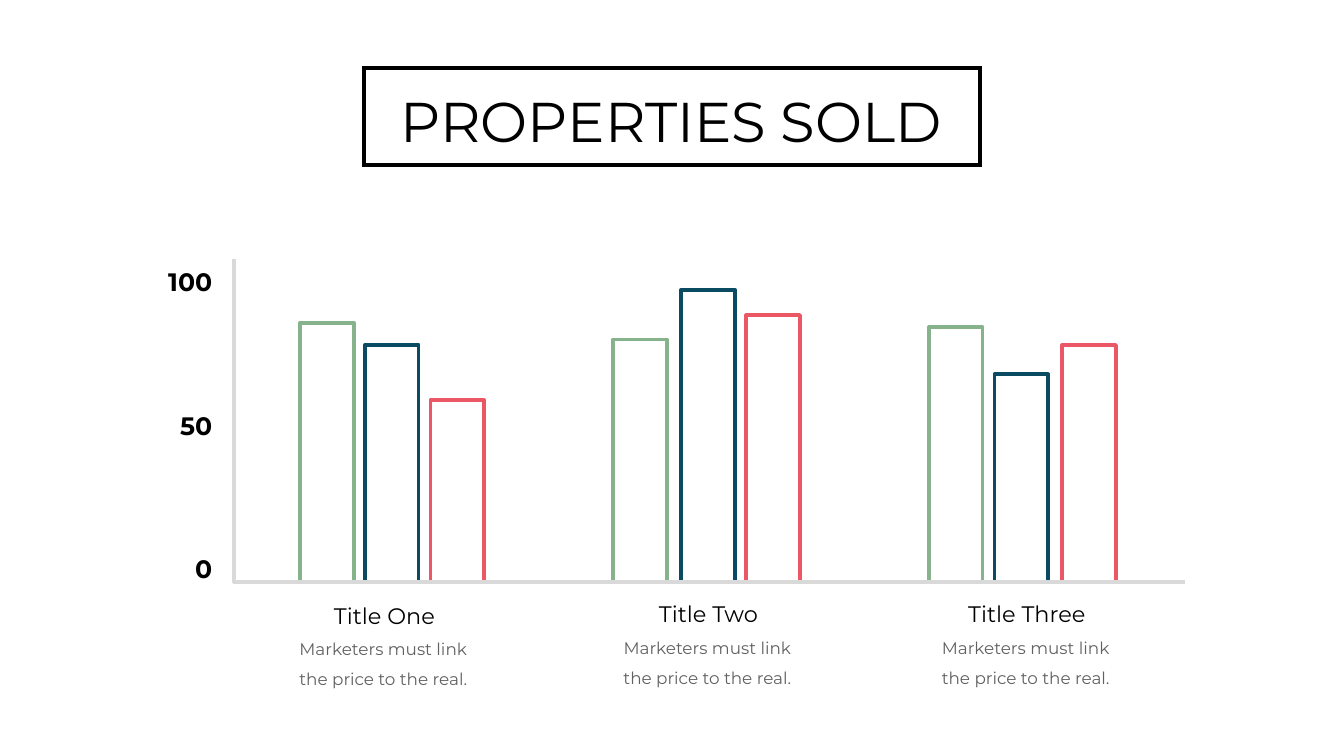
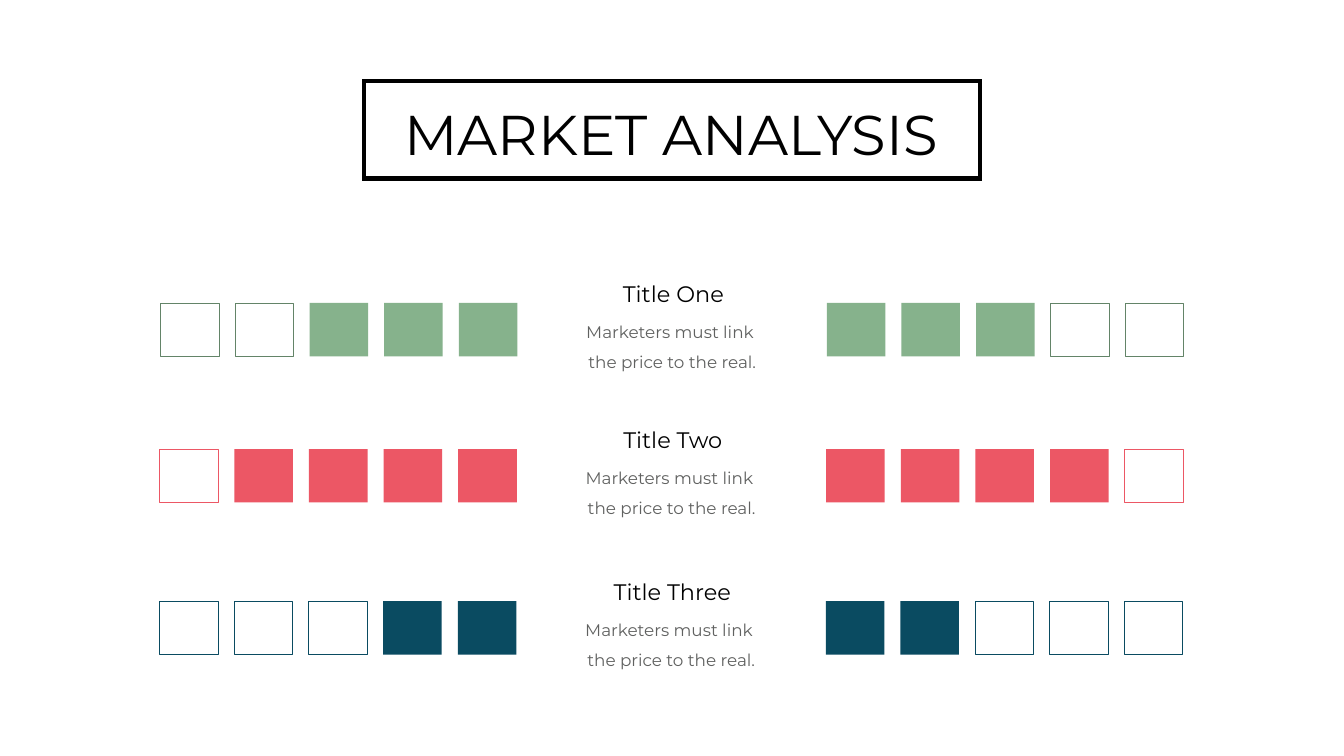
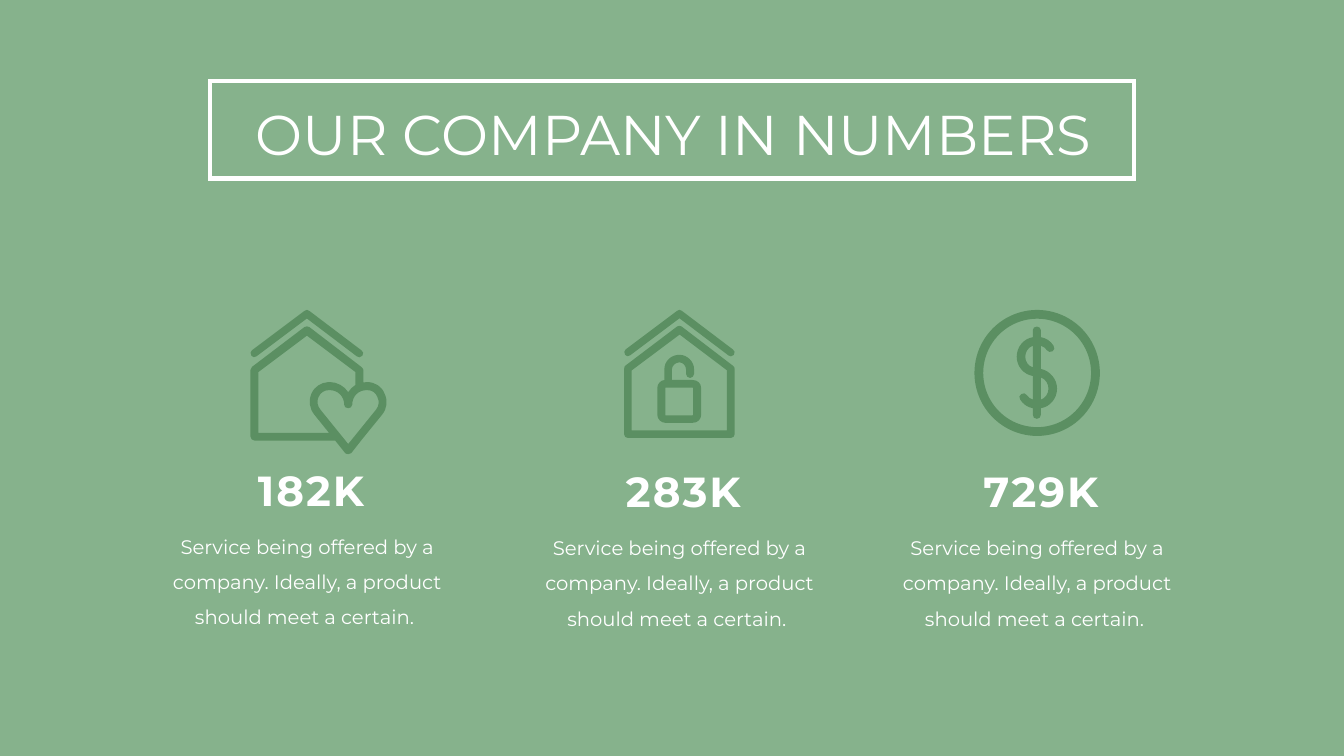
from lxml import etree
from pptx import Presentation
from pptx.dml.color import RGBColor
from pptx.enum.shapes import MSO_CONNECTOR, MSO_SHAPE
from pptx.enum.text import MSO_AUTO_SIZE, PP_ALIGN
from pptx.oxml.ns import qn
from pptx.util import Cm, Pt

RECTANGLE, DONUT = MSO_SHAPE.RECTANGLE, MSO_SHAPE.DONUT
STRAIGHT = MSO_CONNECTOR.STRAIGHT
FIT_SHAPE = MSO_AUTO_SIZE.SHAPE_TO_FIT_TEXT
CENTER, RIGHT = PP_ALIGN.CENTER, PP_ALIGN.RIGHT

FONT = "Montserrat"
BLACK = RGBColor(0x00, 0x00, 0x00)
WHITE = RGBColor(0xFF, 0xFF, 0xFF)
GRAY = RGBColor(0x60, 0x61, 0x60)
AXIS_GRAY = RGBColor(0xD9, 0xD9, 0xD9)
GREEN = RGBColor(0x86, 0xB2, 0x8C)
MOSS = RGBColor(0x63, 0x84, 0x68)
ICON_GREEN = RGBColor(0x5B, 0x8F, 0x62)
NAVY = RGBColor(0x0A, 0x4B, 0x61)
CORAL = RGBColor(0xEC, 0x57, 0x65)

# All positions are in centimetres.
PAGE_WIDTH, PAGE_HEIGHT = 67.72, 38.1
BASELINE = 29.31
BAR_WIDTH = 2.7
SQUARE_WIDTH, SQUARE_HEIGHT, SQUARE_STEP = 2.95, 2.69, 3.76
SQUARES_PER_SIDE = 5

# Icon outlines: M starts a closed contour, L is a line, C a Bézier curve.
ICON_UNIT = 0.0254
ROOF = (
    "M 12 92 L 112 17 L 211 92 C 213 93 214 94 216 94 C 218 94 220 93 222 91 "
    "C 225 87 224 82 220 80 L 117 2 C 114 -1 110 -1 107 2 L 3 80 "
    "C 0 82 -1 87 2 91 C 4 94 9 95 12 92"
)
HOUSE_WITH_HEART = (
    "M 139 165 C 133 158 131 148 135 140 C 139 131 146 126 156 126 "
    "C 156 126 157 126 157 126 "
    "C 173 126 186 138 186 155 C 186 159 189 162 194 162 "
    "C 198 162 202 159 202 155 C 202 138 214 126 231 126 "
    "C 231 126 232 126 232 126 "
    "C 241 126 249 131 252 140 C 256 148 255 158 249 165 L 194 233 "
    "M 16 90 L 112 18 L 208 90 L 208 116 C 203 120 197 124 194 130 "
    "C 186 118 172 110 157 110 C 156 110 156 110 155 110 "
    "C 140 111 127 119 121 133 "
    "C 115 147 117 163 127 175 L 156 211 L 16 211 "
    "M 261 175 C 271 163 273 147 266 133 C 261 119 248 111 233 110 "
    "C 232 110 232 110 231 110 "
    "C 228 110 226 110 224 111 L 224 86 C 224 84 222 82 220 80 L 117 1 "
    "C 114 -1 110 -1 107 1 L 3 80 C 2 82 0 84 0 86 L 0 218 "
    "C 0 223 4 226 8 226 L 168 226 L 188 251 C 189 252 192 253 194 253 "
    "C 196 253 198 252 200 251 L 222 223"
)
HOUSE = (
    "M 204 207 L 15 207 L 15 88 L 110 17 L 204 88 "
    "M 216 79 L 114 1 C 111 -1 108 -1 105 1 L 2 79 C 1 80 0 82 0 85 L 0 215 "
    "C 0 219 3 222 7 222 L 212 222 C 216 222 219 219 219 215 L 219 85 "
    "C 219 82 218 80 216 79"
)
OPEN_LOCK = (
    "M 71 66 L 71 119 C 71 119 71 120 70 120 L 16 120 C 16 120 16 119 16 119 "
    "L 16 66 C 16 65 16 65 16 65 L 70 65 C 71 65 71 65 71 66 "
    "M 14 29 L 14 50 C 6 51 0 58 0 66 L 0 119 C 0 128 8 135 16 135 L 70 135 "
    "C 80 135 87 128 87 119 L 87 66 C 87 57 80 50 70 50 L 29 50 L 29 29 "
    "C 29 22 36 15 44 15 C 51 15 57 22 57 29 L 57 38 C 57 42 61 46 65 46 "
    "C 69 46 73 42 73 38 L 73 29 C 73 13 59 0 44 0 C 27 0 14 13 14 29"
)
DOLLAR = (
    "M 48 145 L 48 101 C 57 104 63 113 63 123 C 63 133 57 142 48 145 "
    "M 17 60 C 17 50 23 41 32 38 L 32 81 C 23 78 17 70 17 60 "
    "M 48 84 L 48 38 C 53 39 57 43 60 47 C 62 51 67 51 71 49 "
    "C 75 47 76 42 73 38 C 67 28 58 23 48 21 L 48 7 C 48 3 44 0 40 0 "
    "C 35 0 32 3 32 7 L 32 21 C 14 24 0 40 0 60 C 0 79 14 95 32 98 L 32 145 "
    "C 27 144 23 140 20 136 C 18 132 13 131 9 134 C 5 136 4 141 7 145 "
    "C 13 154 21 160 32 162 L 32 175 C 32 180 35 183 40 183 "
    "C 44 183 48 180 48 175 L 48 162 C 66 159 80 143 80 123 "
    "C 80 104 66 88 48 84"
)


def paint(shape, fill=None, line=None, weight=1):
    shape.shadow.inherit = False
    if fill is None:
        shape.fill.background()
    else:
        shape.fill.solid()
        shape.fill.fore_color.rgb = fill
    if line is None:
        shape.line.fill.background()
    else:
        shape.line.color.rgb = line
        shape.line.width = Pt(weight)


def add_preset(page, kind, left, top, width, height, **style):
    shape = page.shapes.add_shape(kind, Cm(left), Cm(top), Cm(width), Cm(height))
    paint(shape, **style)
    return shape


def add_text(page, lines, left, top, width, height, size, color, bold=None,
             align=CENTER, spacing=None, wrap=True):
    box = page.shapes.add_textbox(Cm(left), Cm(top), Cm(width), Cm(height))
    frame = box.text_frame
    frame.word_wrap = wrap
    frame.auto_size = FIT_SHAPE
    frame.text = "\n".join(lines)
    for para in frame.paragraphs:
        para.alignment = align
        para.line_spacing = spacing
        para.font.name = FONT
        para.font.size = Pt(size)
        para.font.bold = bold
        para.font.color.rgb = color
    return box


def add_axis(page, start_x, start_y, end_x, end_y):
    axis = page.shapes.add_connector(
        STRAIGHT, Cm(start_x), Cm(start_y), Cm(end_x), Cm(end_y))
    axis.line.color.rgb = AXIS_GRAY
    axis.line.width = Pt(5.5)
    etree.SubElement(axis._element.spPr, qn("a:effectLst"))


def add_title(page, title, top, text_left, text_width, width, color=BLACK):
    """Large title in a sharp-cornered frame, centred on the page."""
    add_text(page, [title], text_left, top + 0.81, text_width, 3.68, 80, color)
    frame = add_preset(page, RECTANGLE, (PAGE_WIDTH - width) / 2, top, width, 4.9,
                       line=color, weight=6)
    etree.SubElement(frame.line._get_or_add_ln(), qn("a:miter"), lim="800000")


def add_caption(page, heading, lines, center, top, heading_width, body_width,
                body_offset):
    """Heading with two gray lines of text below it."""
    add_text(page, [heading], center - heading_width / 2, top, heading_width,
             1.63, 32, BLACK, wrap=False)
    add_text(page, lines, center - 0.06 - body_width / 2, top + body_offset,
             body_width, 3.17, 24, GRAY, spacing=Pt(43))


def add_squares(page, left, top, filled, fill, line):
    for index in range(SQUARES_PER_SIDE):
        style = {"fill": fill} if index in filled else {"line": line}
        add_preset(page, RECTANGLE, left + index * SQUARE_STEP, top,
                   SQUARE_WIDTH, SQUARE_HEIGHT, **style)


def contour_segments(contour, unit):
    """List of segments, each a list of its points; the first is the start."""
    segments = []
    for segment in contour.replace("L", "|").replace("C", "|").split("|"):
        lengths = [Cm(int(word) * unit) for word in segment.split()]
        segments.append(list(zip(lengths[::2], lengths[1::2])))
    return segments


def bend(line, points, shift_x, shift_y):
    """Turn a straight path segment into a Bézier curve."""
    curve = etree.Element(qn("a:cubicBezTo"))
    for x, y in points:
        etree.SubElement(curve, qn("a:pt"), x=str(x + shift_x), y=str(y + shift_y))
    line.getparent().replace(line, curve)


def add_icon(page, outline, left, top, scale=1.0):
    contours = [contour_segments(contour, ICON_UNIT * scale)
                for contour in outline.split("M")[1:]]
    builder = page.shapes.build_freeform(*contours[0][0][0])
    for number, (start, *segments) in enumerate(contours):
        if number:
            builder.move_to(*start[0])
        builder.add_line_segments([points[-1] for points in segments], close=True)
    icon = builder.convert_to_shape(Cm(left), Cm(top))
    lines = list(icon._element.iter(qn("a:lnTo")))
    drawn = [points for contour in contours for points in contour[1:]]
    for line, points in zip(lines, drawn):
        if len(points) == 3:
            bend(line, points, Cm(left) - icon.left, Cm(top) - icon.top)
    paint(icon, fill=ICON_GREEN)


def add_statistic(page, number, center, top):
    description = ("Service being offered by a company. "
                   "Ideally, a product should meet a certain. ")
    body = add_text(page, [description], center - 7.92, top + 2.78, 15.85, 5.79,
                    28, WHITE, spacing=1.5)
    frame = body.text_frame
    frame.margin_left = frame.margin_right = Cm(0.61)
    frame.margin_top = frame.margin_bottom = Cm(0.3)
    figure = add_text(page, [number], center - 7.1, top, 14.6, 2.82, 60, WHITE,
                      bold=True)
    for span in figure.text_frame.paragraphs[0].runs:
        span._r.get_or_add_rPr().set("spc", "300")


def build_properties_sold(page):
    bar_groups = [
        ((15.12, 13.05), (18.39, 11.93), (21.69, 9.15)),
        ((30.89, 12.2), (34.32, 14.71), (37.61, 13.43)),
        ((46.81, 12.82), (50.11, 10.44), (53.53, 11.92)),
    ]
    for group in bar_groups:
        for (left, height), color in zip(group, (GREEN, NAVY, CORAL)):
            add_preset(page, RECTANGLE, left, BASELINE - height, BAR_WIDTH,
                       height, line=color, weight=5.5)
    for index, label in enumerate(("100", "50", "0")):
        add_text(page, [label], 8, 13.28 + index * 7.25, 2.95, 1.6, 36, BLACK,
                 bold=True, align=RIGHT)
    add_axis(page, 11.79, 13.03, 11.79, 29.36)
    add_axis(page, 59.72, BASELINE, 11.73, BASELINE)
    add_title(page, "PROPERTIES SOLD", 3.42, 19.38, 28.88, 31.04)
    captions = [
        ("Title One", 19.37, 30.2, 5.72),
        ("Title Two", 35.7, 30.12, 5.72),
        ("Title Three", 51.74, 30.12, 6.6),
    ]
    for heading, center, top, width in captions:
        add_caption(page, heading, ["Marketers must link the price to the real."],
                    center, top, width, 10.54, 1.37)


def build_market_analysis(page):
    add_title(page, "MARKET ANALYSIS", 4.1, 19.38, 28.88, 31.04)
    rows = [
        ("Title One", 8.08, 15.27, 3, GREEN, MOSS, 6.65),
        ("Title Two", 8.05, 22.63, 4, CORAL, CORAL, 6.65),
        ("Title Three", 8.03, 30.3, 2, NAVY, NAVY, 7.67),
    ]
    for heading, left, top, score, fill, line, width in rows:
        add_squares(page, left, top,
                    range(SQUARES_PER_SIDE - score, SQUARES_PER_SIDE), fill, line)
        add_squares(page, left + 33.58, top, range(score), fill, line)
        add_caption(page, heading, ["Marketers must link ", "the price to the real."],
                    left + 25.85, top - 1.3, width, 12.24, 1.6)


def build_company_numbers(page):
    add_preset(page, RECTANGLE, 0, 0, PAGE_WIDTH, PAGE_HEIGHT, fill=GREEN)
    add_title(page, "OUR COMPANY IN NUMBERS", 4.1, 11.66, 44.58, 46.53, WHITE)
    coin = add_preset(page, DONUT, 49.1, 15.62, 6.32, 6.35, fill=ICON_GREEN)
    coin.adjustments[0] = 0.07
    add_icon(page, DOLLAR, 51.23, 16.46)
    add_icon(page, ROOF, 12.62, 15.62)
    add_icon(page, HOUSE_WITH_HEART, 12.62, 16.46)
    add_icon(page, HOUSE, 31.45, 16.43)
    add_icon(page, ROOF, 31.45, 15.62, scale=0.98)
    add_icon(page, OPEN_LOCK, 33.12, 17.88)
    add_statistic(page, "182K", 15.47, 23.27)
    add_statistic(page, "283K", 34.23, 23.34)
    add_statistic(page, "729K", 52.25, 23.34)


def main():
    deck = Presentation()
    deck.slide_width, deck.slide_height = Cm(PAGE_WIDTH), Cm(PAGE_HEIGHT)
    blank = deck.slide_layouts[6]
    for build in (build_properties_sold, build_market_analysis,
                  build_company_numbers):
        build(deck.slides.add_slide(blank))
    deck.save("out.pptx")


if __name__ == "__main__":
    main()
